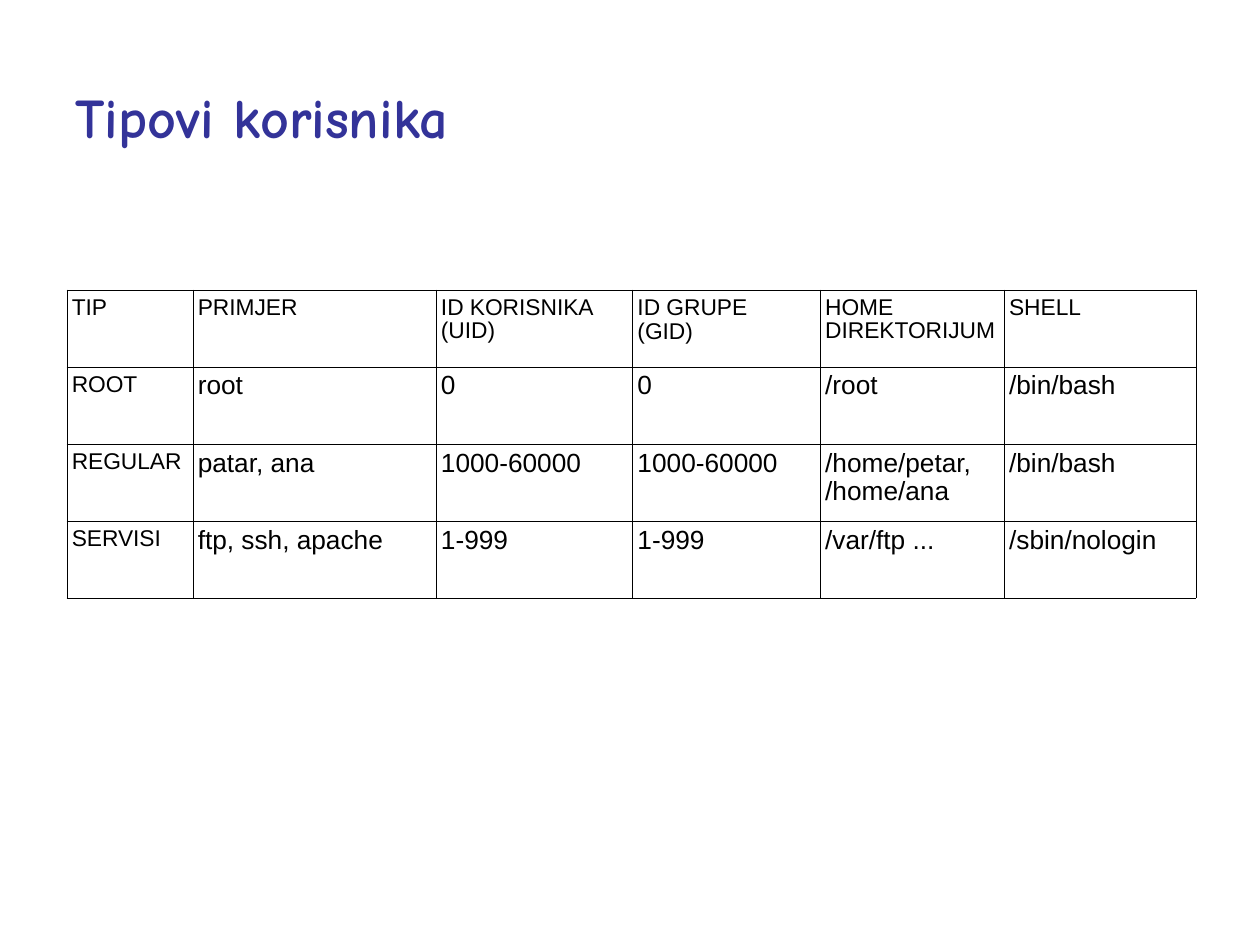
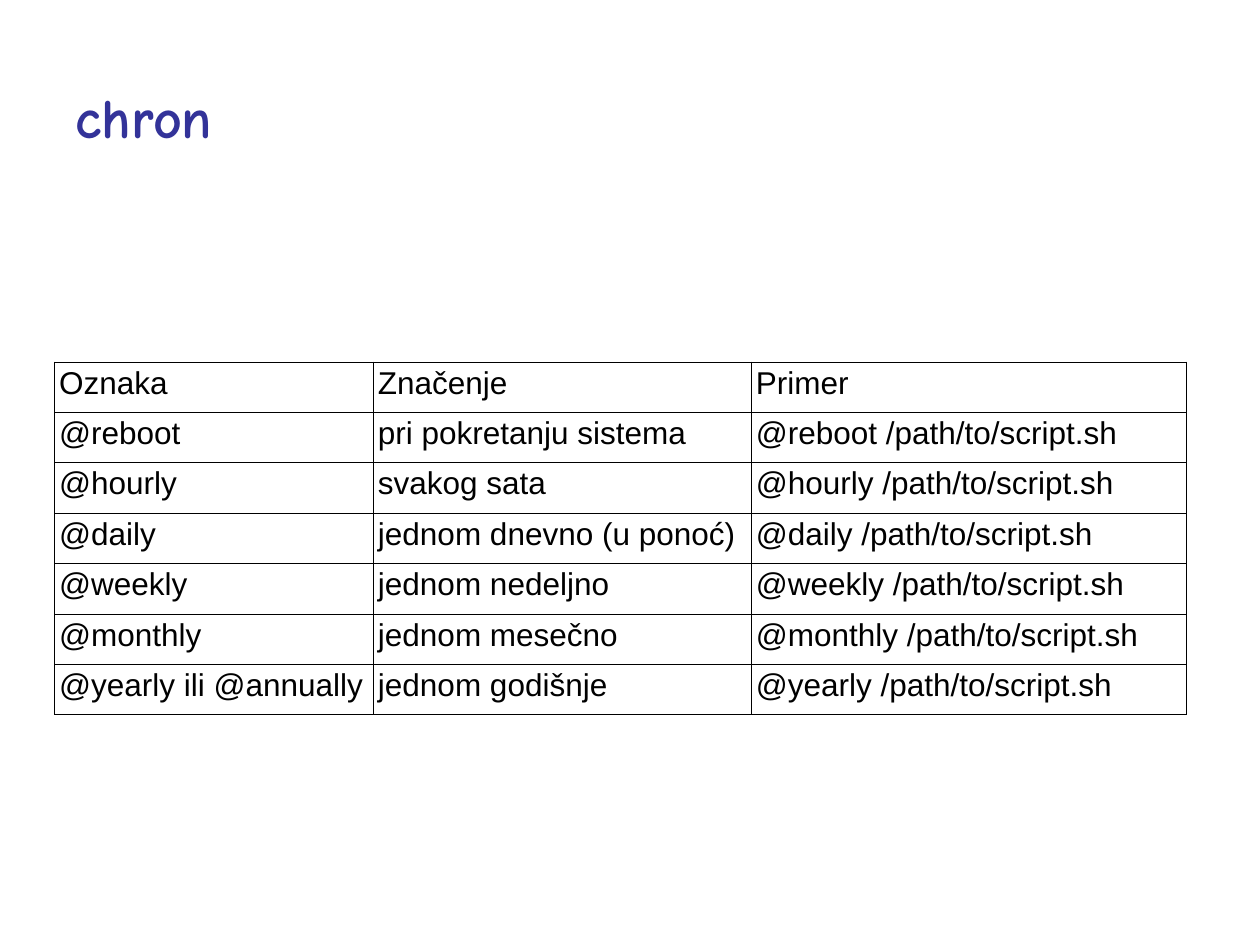
from pptx import Presentation
from pptx.dml.color import RGBColor
from pptx.enum.text import MSO_ANCHOR
from pptx.oxml import parse_xml
from pptx.oxml.ns import nsdecls
from pptx.util import Inches, Pt

MIDDLE = MSO_ANCHOR.MIDDLE

COLORS = {"title": "333399", "text": "000000", "border": "000000"}
TITLE_FONT = "Comic Neue"
BODY_FONT = "Arial"
BORDER_WIDTH = Pt(0.06)


def style_paragraph(paragraph, font_name, size, color, space, bold=False):
    paragraph.space_after = Pt(space)
    for run in paragraph.runs:
        run.font.name = font_name
        run.font.size = Pt(size)
        run.font.bold = bold
        run.font.color.rgb = RGBColor.from_string(color)


def add_borders(cell):
    for side in ("lnL", "lnR", "lnT", "lnB"):
        cell._tc.get_or_add_tcPr().append(parse_xml(
            f'<a:{side} {nsdecls("a")} w="{BORDER_WIDTH}"><a:solidFill>'
            f'<a:srgbClr val="{COLORS["border"]}"/></a:solidFill></a:{side}>'))


# Content of the slides: a line break in a cell starts a new paragraph
user_types = {
    "title": "Tipovi korisnika",
    "box": (0.53, 2.3, 8.97, 2.45),
    "columns": (1, 1.93, 1.56, 1.49, 1.46, 1.52),
    "label_size": 13,
    "value_size": 15,
    "rows": [
        ("TIP", "PRIMJER", "ID KORISNIKA (UID)", "ID GRUPE\n(GID)",
         "HOME DIREKTORIJUM", "SHELL"),
        ("ROOT", "root", "0", "0", "/root", "/bin/bash"),
        ("REGULAR", "patar, ana", "1000-60000", "1000-60000",
         "/home/petar,\n/home/ana", "/bin/bash"),
        ("SERVISI", "ftp, ssh, apache", "1-999", "1-999",
         "/var/ftp ...", "/sbin/nologin"),
    ],
}

schedules = [
    ("@reboot", "pri pokretanju sistema"),
    ("@hourly", "svakog sata"),
    ("@daily", "jednom dnevno (u ponoć)"),
    ("@weekly", "jednom nedeljno"),
    ("@monthly", "jednom mesečno"),
    ("@yearly ili @annually", "jednom godišnje"),
]
cron_marks = {
    "title": "chron",
    "box": (0.43, 2.87, 8.97, 2.8),
    "columns": (2.53, 3, 3.45),
    "label_size": 18,
    "value_size": 18,
    "rows": [("Oznaka", "Značenje", "Primer")] + [
        (mark, meaning, f"{mark.split()[0]} /path/to/script.sh")
        for mark, meaning in schedules
    ],
}

prs = Presentation()
prs.slide_width = Inches(10)
prs.slide_height = Inches(7.5)

for topic in (user_types, cron_marks):
    slide = prs.slides.add_slide(prs.slide_layouts[6])

    # Title
    title = slide.shapes.add_textbox(
        Inches(0.5), Inches(0.3), Inches(9), Inches(1.25)).text_frame
    title.word_wrap = True
    title.vertical_anchor = MIDDLE
    title.text = topic["title"]
    style_paragraph(title.paragraphs[0], TITLE_FONT, 32, COLORS["title"],
                    space=0.7, bold=True)

    # Table grid
    rows = topic["rows"]
    table = slide.shapes.add_table(
        len(rows), len(topic["columns"]), *map(Inches, topic["box"])).table
    table.first_row = False
    table.horz_banding = False
    for column, width in zip(table.columns, topic["columns"]):
        column.width = Inches(width)

    # Cells: the header row and the first column share the label size
    for r, row in enumerate(rows):
        for c, content in enumerate(row):
            cell = table.cell(r, c)
            cell.margin_left = cell.margin_right = Inches(0.04)
            cell.margin_top = cell.margin_bottom = Inches(0.05)
            add_borders(cell)
            cell.fill.background()
            cell.text_frame.text = content
            size = topic["label_size" if r == 0 or c == 0 else "value_size"]
            for paragraph in cell.text_frame.paragraphs:
                paragraph.line_spacing = 0.93
                style_paragraph(paragraph, BODY_FONT, size, COLORS["text"],
                                space=0.5)

prs.save("out.pptx")
